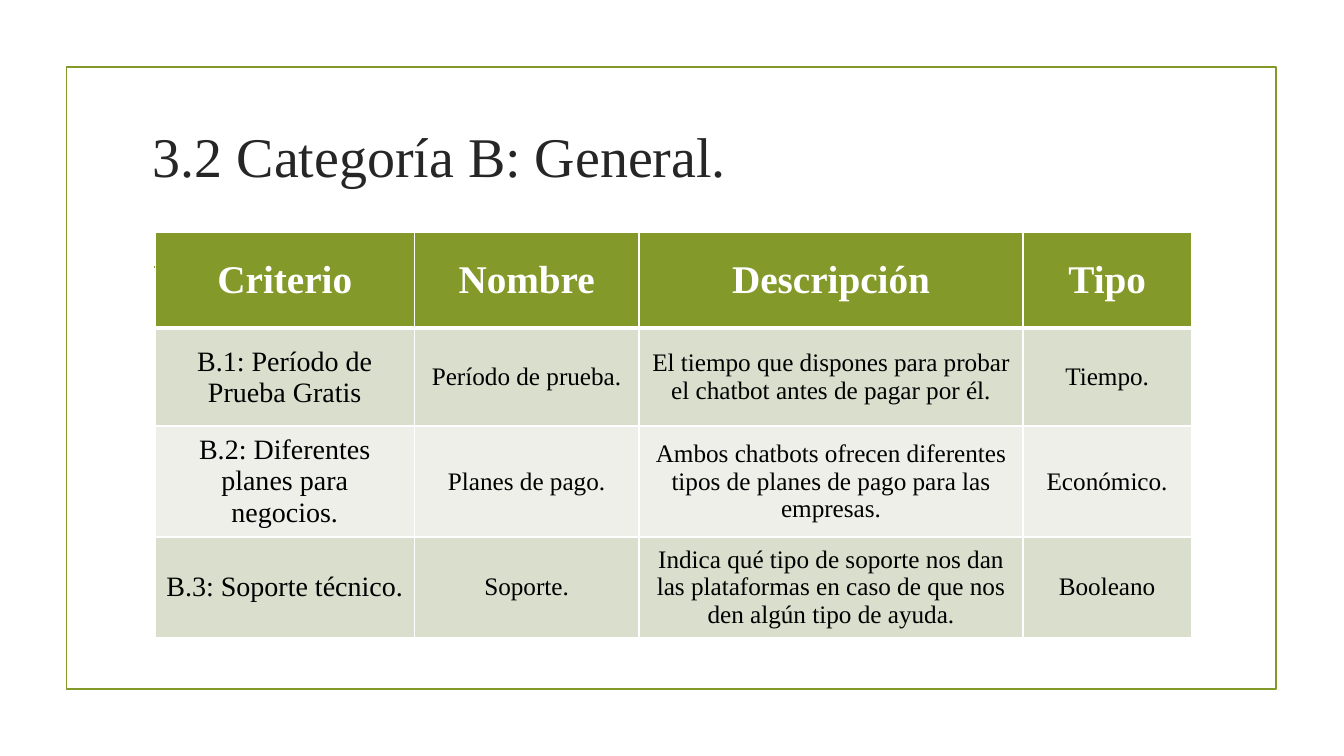
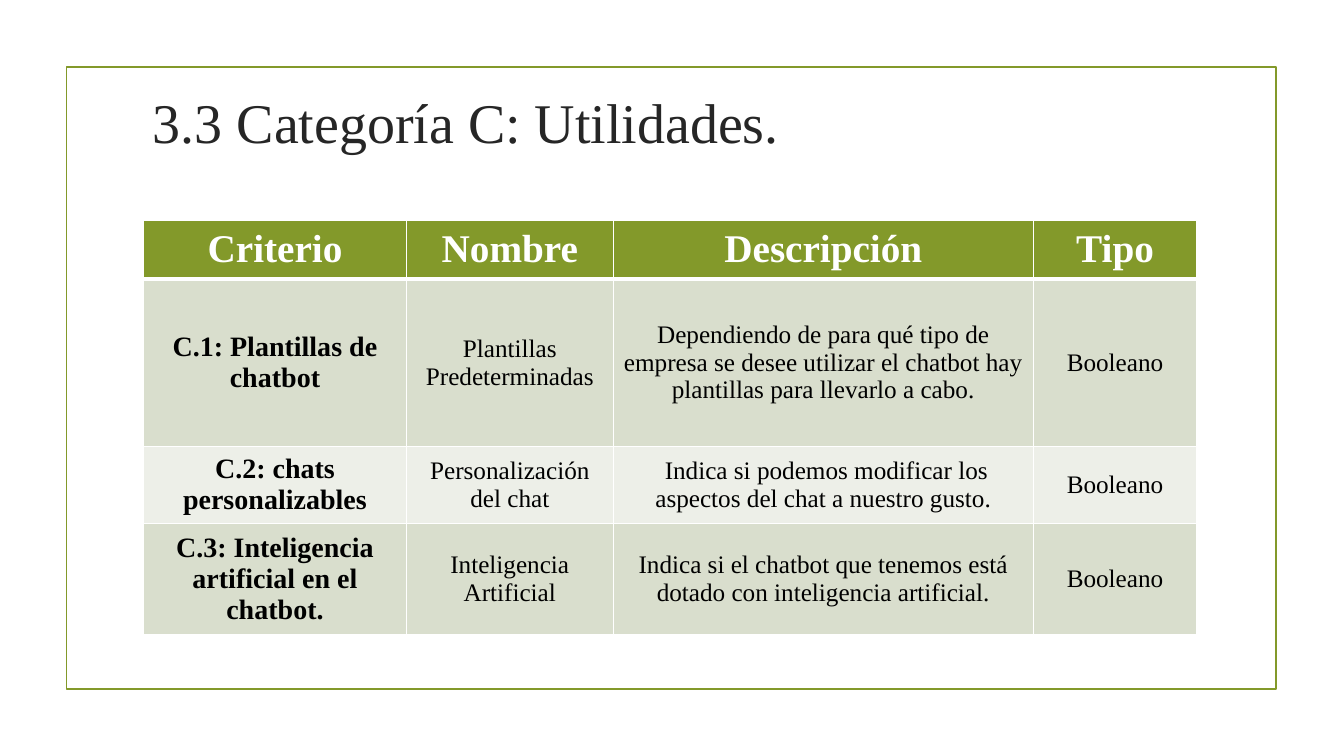
from lxml import etree
from pptx import Presentation
from pptx.dml.color import RGBColor
from pptx.enum import shapes, text
from pptx.oxml import ns
from pptx.util import Pt

FONT = "Times New Roman"
GREEN = RGBColor(0x83, 0x99, 0x2A)
INK = RGBColor(0x26, 0x26, 0x26)
BLACK = RGBColor(0x00, 0x00, 0x00)
WHITE = RGBColor(0xFF, 0xFF, 0xFF)
BANDS = [RGBColor(0xD9, 0xDE, 0xCD), RGBColor(0xED, 0xEF, 0xE8)]

HEADINGS = ["Criterio", "Nombre", "Descripción", "Tipo"]
PAGES = [
    dict(
        title="3.2 Categoría B: General.",
        title_top=59,
        table_at=(110.9, 166.3),
        widths=[185, 160.6, 274.3, 120.2],
        heights=[68.1, 69.9, 69.9, 69.9],
        bold_criteria=False,
        rows=[
            ["B.1: Período de Prueba Gratis", "Período de prueba.",
             "El tiempo que dispones para probar el chatbot antes de pagar por él.",
             "Tiempo."],
            ["B.2: Diferentes planes para negocios.", "Planes de pago.",
             "Ambos chatbots ofrecen diferentes tipos de planes de pago para las empresas.",
             "Económico."],
            ["B.3: Soporte técnico.", "Soporte.",
             "Indica qué tipo de soporte nos dan las plataformas en caso de que nos "
             "den algún tipo de ayuda.",
             "Booleano"],
        ],
    ),
    dict(
        title="3.3 Categoría C: Utilidades.",
        title_top=35.3,
        table_at=(102.5, 157.2),
        widths=[187.9, 147.6, 300.2, 116.6],
        heights=[42, 119.5, 42.5, 58.3],
        bold_criteria=True,
        rows=[
            ["C.1: Plantillas de chatbot", "Plantillas Predeterminadas",
             "Dependiendo de para qué tipo de empresa se desee utilizar "
             "el chatbot hay plantillas para llevarlo a cabo.",
             "Booleano"],
            ["C.2: chats personalizables", "Personalización del chat",
             " Indica si podemos modificar los aspectos del chat a nuestro gusto.",
             "Booleano"],
            ["C.3: Inteligencia artificial en el chatbot.", "Inteligencia Artificial",
             "Indica si el chatbot que tenemos está dotado con inteligencia artificial.",
             "Booleano"],
        ],
    ),
]


def write(frame, words, size, color, bold=False, align=text.PP_ALIGN.LEFT):
    frame.word_wrap = True
    para = frame.paragraphs[0]
    para.alignment = align
    span = para.add_run()
    span.text = words
    span.font.name = FONT
    span.font.size = Pt(size)
    span.font.bold = bold
    span.font.color.rgb = color


def add_frame(page):
    """Draw the green outline and the rule under the title."""
    outline = page.shapes.add_shape(
        shapes.MSO_SHAPE.RECTANGLE, Pt(47.5), Pt(48), Pt(864), Pt(444))
    outline.shadow.inherit = False
    outline.fill.background()
    rule = page.shapes.add_connector(
        shapes.MSO_CONNECTOR.STRAIGHT, Pt(110), Pt(190.8), Pt(850), Pt(190.8))
    etree.SubElement(rule._element.spPr, ns.qn("a:effectLst"))
    for shape in (outline, rule):
        shape.line.color.rgb = GREEN
        shape.line.width = Pt(1.25)


def add_title(page, words, top):
    box = page.shapes.add_textbox(Pt(102.2), Pt(top), Pt(756), Pt(103))
    box.text_frame.vertical_anchor = text.MSO_ANCHOR.MIDDLE
    write(box.text_frame, words, 40, INK)


def set_borders(cell, **widths):
    """Give the cell white borders; widths are points by side, in L, R, T, B order."""
    props = cell._tc.get_or_add_tcPr()
    for side, width in widths.items():
        line = etree.SubElement(props, ns.qn(f"a:ln{side}"), w=str(Pt(width)))
        fill = etree.SubElement(line, ns.qn("a:solidFill"))
        etree.SubElement(fill, ns.qn("a:srgbClr"), val=str(WHITE))


def add_criteria_table(page, left, top, widths, heights, rows, bold_criteria):
    table = page.shapes.add_table(
        len(heights), len(widths), Pt(left), Pt(top),
        Pt(sum(widths)), Pt(sum(heights))).table
    table.horz_banding = False
    for column, width in zip(table.columns, widths):
        column.width = Pt(width)
    for row, height in zip(table.rows, heights):
        row.height = Pt(height)

    for r, row in enumerate([HEADINGS] + rows):
        for c, words in enumerate(row):
            cell = table.cell(r, c)
            set_borders(cell, L=1, R=1, T=3 if r == 1 else 1, B=3 if r == 0 else 1)
            cell.fill.solid()
            cell.vertical_anchor = text.MSO_ANCHOR.MIDDLE
            if r == 0:
                cell.fill.fore_color.rgb = GREEN
                size, color, bold = 28, WHITE, True
            else:
                cell.fill.fore_color.rgb = BANDS[(r - 1) % 2]
                size, color = 20 if c == 0 else 18, BLACK
                bold = bold_criteria and c == 0
            write(cell.text_frame, words, size, color, bold, text.PP_ALIGN.CENTER)


def add_category_page(deck, title, title_top, table_at, **table):
    page = deck.slides.add_slide(deck.slide_layouts[6])
    add_frame(page)
    add_title(page, title, title_top)
    add_criteria_table(page, *table_at, **table)


def main():
    deck = Presentation()
    deck.slide_width, deck.slide_height = Pt(960), Pt(540)
    for content in PAGES:
        add_category_page(deck, **content)
    deck.save("out.pptx")


if __name__ == "__main__":
    main()
